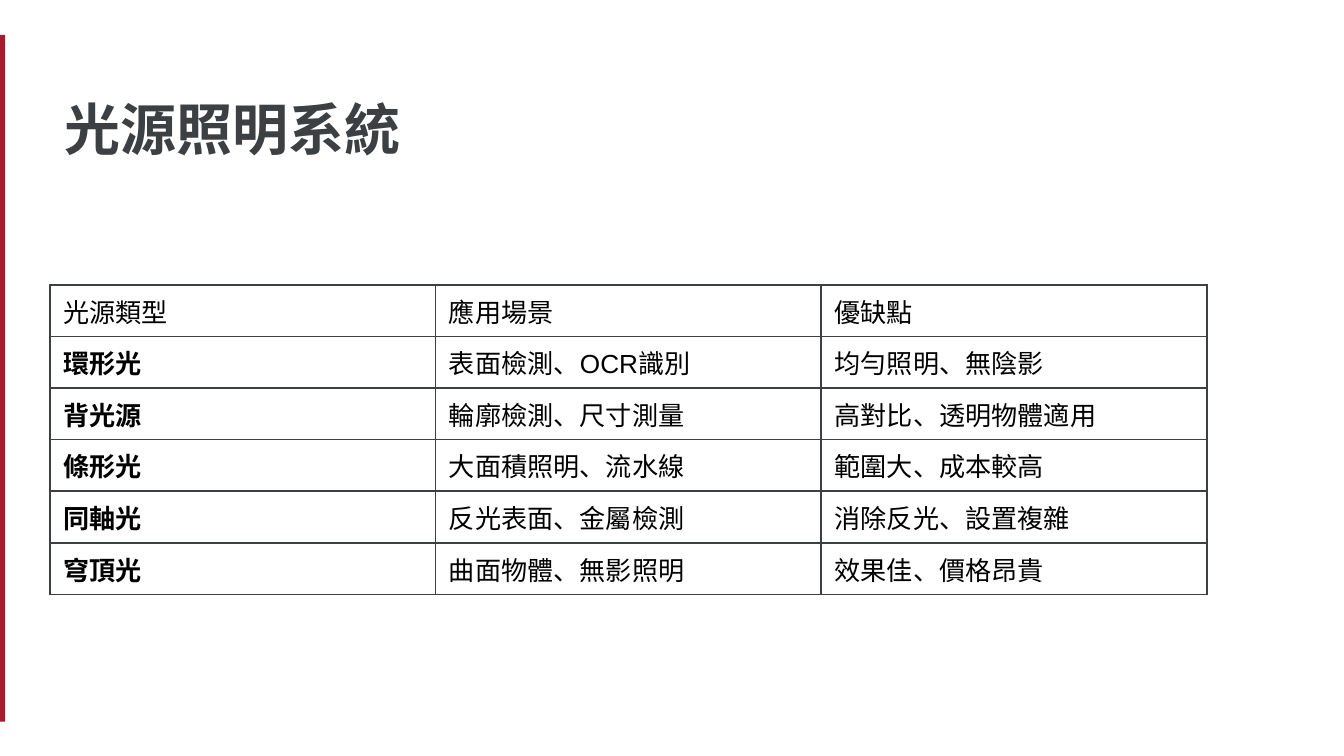
from lxml import etree
from pptx import Presentation
from pptx.dml.color import RGBColor
from pptx.enum import shapes, text
from pptx.oxml import ns
from pptx.util import Inches, Pt

CRIMSON = RGBColor(0xA5, 0x1C, 0x30)
SLATE = RGBColor(0x3C, 0x40, 0x43)
BLACK = RGBColor(0, 0, 0)

TITLE_FONT = {"name": "Cabin", "size": Pt(30), "bold": True}
CELL_FONT = {"name": "Arial", "size": Pt(14)}
MARGINS = ("margin_left", "margin_right", "margin_top", "margin_bottom")

LIGHT_SOURCES = [
    ("光源類型", "應用場景", "優缺點"),
    ("環形光", "表面檢測、OCR識別", "均勻照明、無陰影"),
    ("背光源", "輪廓檢測、尺寸測量", "高對比、透明物體適用"),
    ("條形光", "大面積照明、流水線", "範圍大、成本較高"),
    ("同軸光", "反光表面、金屬檢測", "消除反光、設置複雜"),
    ("穹頂光", "曲面物體、無影照明", "效果佳、價格昂貴"),
]


def format_font(font, values, color):
    for key, value in values.items():
        setattr(font, key, value)
    font.color.rgb = color


def add_borders(cell, color, width):
    properties = cell._tc.get_or_add_tcPr()
    for position, side in enumerate(("lnL", "lnR", "lnT", "lnB")):
        line = etree.Element(ns.qn(f"a:{side}"), w=str(width))
        fill = etree.SubElement(line, ns.qn("a:solidFill"))
        etree.SubElement(fill, ns.qn("a:srgbClr"), val=str(color))
        properties.insert(position, line)


# Widescreen page, 16:9
presentation = Presentation()
presentation.slide_width = Inches(10)
presentation.slide_height = Inches(10) * 9 // 16
slide = presentation.slides.add_slide(presentation.slide_layouts[5])

# Accent bar on the left edge
accent = slide.shapes.add_shape(
    shapes.MSO_SHAPE.RECTANGLE,
    Inches(-0.02), Inches(0.26), Inches(0.06), Inches(5.11))
accent.shadow.inherit = False
accent.fill.solid()
accent.fill.fore_color.rgb = CRIMSON
accent.line.fill.background()

# Title
heading = slide.shapes.title
heading.left, heading.top = Inches(0.38), Inches(0.66)
heading.width, heading.height = Inches(8.87), Inches(0.59)
frame = heading.text_frame
frame.text = "光源照明系統"
frame.auto_size = text.MSO_AUTO_SIZE.NONE
frame.vertical_anchor = text.MSO_ANCHOR.TOP
for margin in MARGINS:
    setattr(frame, margin, Inches(0.1))
heading_line = frame.paragraphs[0]
heading_line.alignment = text.PP_ALIGN.LEFT
heading_line.line_spacing = 0.9
format_font(heading_line.runs[0].font, TITLE_FONT, SLATE)

# Table of light sources
row_count, column_count = len(LIGHT_SOURCES), len(LIGHT_SOURCES[0])
comparison = slide.shapes.add_table(
    row_count, column_count, Inches(0.37), Inches(2.12),
    Inches(2.87) * column_count, Inches(0.38) * row_count).table
comparison.first_row = False
comparison.horz_banding = False

for row, entries in enumerate(LIGHT_SOURCES):
    for column, entry in enumerate(entries):
        cell = comparison.cell(row, column)
        cell.text = entry
        cell.vertical_anchor = text.MSO_ANCHOR.MIDDLE
        cell.fill.background()
        add_borders(cell, SLATE, Pt(1))
        font = cell.text_frame.paragraphs[0].runs[0].font
        format_font(font, CELL_FONT, BLACK)
        font.bold = row > 0 and column == 0

presentation.save("out.pptx")
